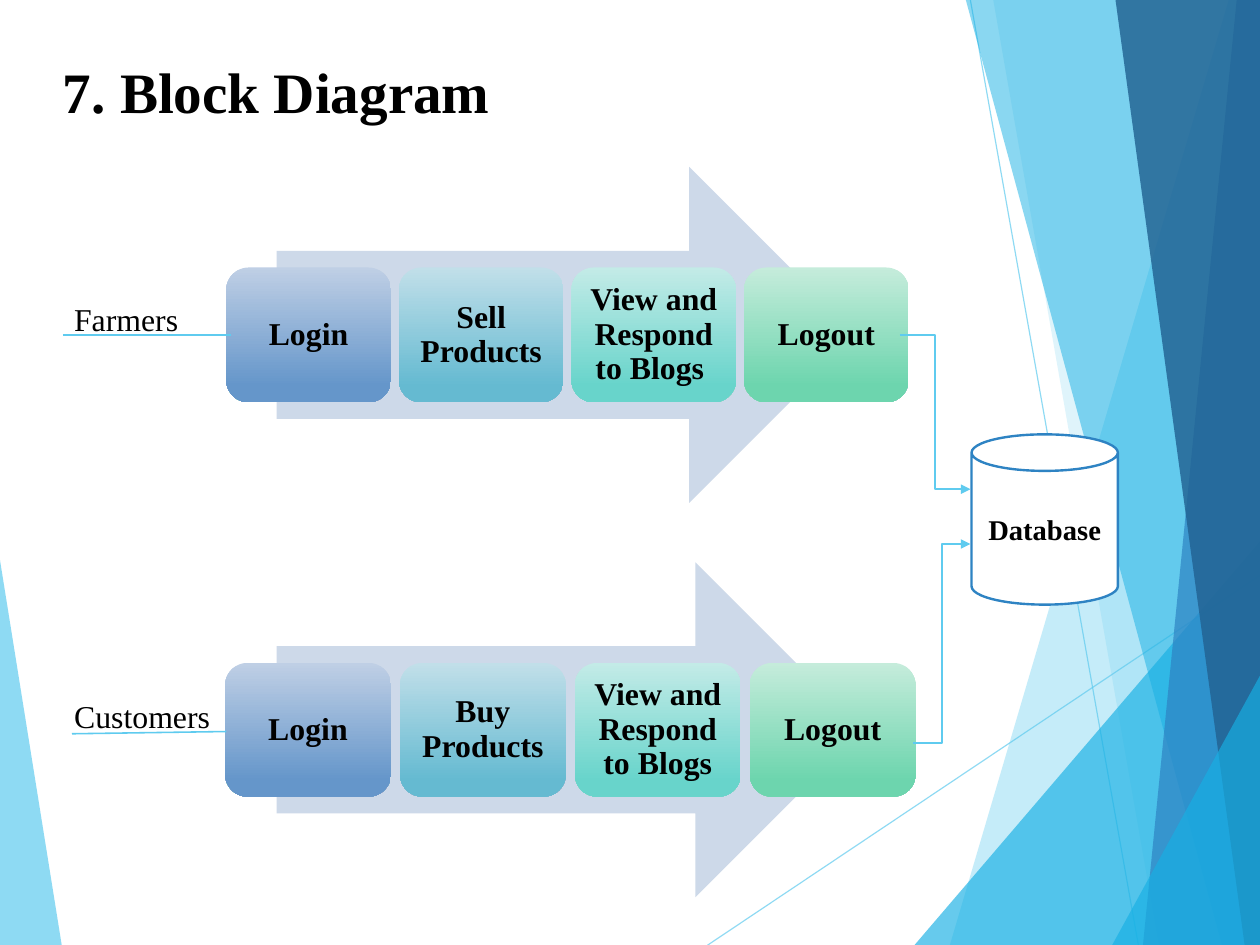
"""Build the block diagram slide: two user flows feeding one database."""
from lxml.etree import SubElement
from pptx import Presentation
from pptx.dml.color import RGBColor
from pptx.enum.shapes import MSO_CONNECTOR as Link, MSO_SHAPE as Shape
from pptx.enum.text import MSO_ANCHOR as Anchor, MSO_AUTO_SIZE as AutoSize, PP_ALIGN as Align
from pptx.oxml.ns import qn
from pptx.util import Inches, Pt

CM_PER_INCH = 2.54
SLIDE_SIZE = {"slide_width": Inches(28 / CM_PER_INCH), "slide_height": Inches(21 / CM_PER_INCH)}
RIGHT, BOTTOM = 11.03, 8.27
COLORS = {
    "sky": "5FCBEF", "cyan": "17B0E4", "blue": "2E83C3", "navy": "226292",
    "arrow": "CDD9E9", "white": "FFFFFF", "text": "000000",
}
STEP_GRADIENTS = [("BFCFE5", "6596CA"), ("C1DFE9", "65BAD1"),
                  ("C3EBE7", "68D4CB"), ("C5ECDB", "6DD5AE")]
RIGHT_EDGE = [(RIGHT, BOTTOM), (RIGHT, 0)]
LEFT_FACET = ("sky", 70, [(-0.01, 4.84), (0.54, BOTTOM), (-0.01, BOTTOM)])
RIGHT_FACETS = [
    ("sky", 36, [(10.75, 0), (8.31, BOTTOM), *RIGHT_EDGE]),
    ("sky", 20, [(8.69, 0), (10.14, BOTTOM), *RIGHT_EDGE]),
    ("cyan", 66, [(8, BOTTOM), (RIGHT, 4.73), (RIGHT, BOTTOM)]),
    ("cyan", 50, [(8.45, 0), (10.69, BOTTOM), *RIGHT_EDGE]),
    ("blue", 70, [(10.82, 0), (10, BOTTOM), *RIGHT_EDGE]),
    ("navy", 82, [(9.76, 0), (10.89, BOTTOM), *RIGHT_EDGE]),
    ("cyan", 66, [(9.73, BOTTOM), (RIGHT, 5.9), (RIGHT, BOTTOM)]),
]


def rgb(name):
    return RGBColor.from_string(COLORS[name])


def apply(target, values):
    for attribute, value in values.items():
        setattr(target, attribute, value)


def box(*lengths):
    return dict(zip(("left", "top", "width", "height"), map(Inches, lengths)))


def set_alpha(fill_owner, percent):
    color = next(fill_owner.iter(qn("a:srgbClr")))
    SubElement(color, qn("a:alpha"), val=str(percent * 1000))


def write(shape, wording, size, bold=True, align=Align.CENTER, spacing=1.0, **frame_format):
    frame = shape.text_frame
    apply(frame, {"word_wrap": True, **frame_format})
    paragraph = frame.paragraphs[0]
    apply(paragraph, {"alignment": align, "line_spacing": spacing})
    run = paragraph.add_run()
    run.text = wording
    apply(run.font, {"name": "Times New Roman", "size": Pt(size), "bold": bold})
    run.font.color.rgb = rgb("text")


def margins(side, top):
    return {"margin_left": Inches(side), "margin_right": Inches(side),
            "margin_top": Inches(top), "margin_bottom": Inches(top)}


def add_facet(slide, color, alpha, corners):
    points = [(Inches(x), Inches(y)) for x, y in corners]
    builder = slide.shapes.build_freeform(*points[0])
    builder.add_line_segments(points[1:], close=True)
    facet = builder.convert_to_shape()
    facet.shadow.inherit = False
    facet.fill.solid()
    facet.fill.fore_color.rgb = rgb(color)
    set_alpha(facet._element.spPr, alpha)
    facet.line.fill.background()


def add_block(slide, kind, place, color=None, outline=None):
    block = slide.shapes.add_shape(kind, **place)
    block.shadow.inherit = False
    if color:
        block.fill.solid()
        block.fill.fore_color.rgb = rgb(color)
    if outline:
        block.line.color.rgb = rgb(outline)
        block.line.width = Pt(1.5)
    else:
        block.line.fill.background()
    return block


def add_link(slide, start, end, kind=Link.STRAIGHT, width=1, alpha=None, arrow=False):
    link = slide.shapes.add_connector(kind, *map(Inches, (*start, *end)))
    link.line.color.rgb = rgb("sky")
    link.line.width = Pt(width)
    properties = link._element.spPr
    if alpha:
        set_alpha(properties, alpha)
    if arrow:
        SubElement(properties.find(qn("a:ln")), qn("a:tailEnd"), type="triangle")
    SubElement(properties, qn("a:effectLst"))


def add_backdrop(slide):
    add_facet(slide, *LEFT_FACET)
    add_link(slide, (6.19, BOTTOM), (RIGHT, 5.03), width=0.75, alpha=70)
    add_link(slide, (8.49, 0), (9.96, BOTTOM), width=0.75, alpha=70)
    for facet in RIGHT_FACETS:
        add_facet(slide, *facet)


def add_step(slide, wording, gradient, place):
    step = add_block(slide, Shape.ROUNDED_RECTANGLE, place)
    step.fill.gradient()
    step.fill.gradient_angle = 270
    for stop, color, position in zip(step.fill.gradient_stops, gradient, (0, 0.88)):
        stop.color.rgb = RGBColor.from_string(color)
        stop.position = position
    write(step, wording, 20, spacing=0.9, vertical_anchor=Anchor.MIDDLE, **margins(0.08, 0.08))


def add_flow(slide, top, arrow_size, first_left, step_size, gap, steps):
    arrow_width, arrow_height = arrow_size
    step_width, step_height = step_size
    add_block(slide, Shape.RIGHT_ARROW, box(2.42, top, arrow_width, arrow_height), "arrow")
    step_top = top + (arrow_height - step_height) / 2
    for index, (wording, gradient) in enumerate(zip(steps, STEP_GRADIENTS)):
        left = first_left + index * (step_width + gap)
        add_step(slide, wording, gradient, box(left, step_top, step_width, step_height))


def add_user(slide, name, top, width):
    label = slide.shapes.add_textbox(**box(0.55, top, width, 0.44))
    write(label, name, 20, bold=False, align=Align.LEFT)


def add_title(slide):
    title = slide.shapes.title
    apply(title, box(0.55, 0.12, 9.92, 1.38))
    write(title, "7. Block Diagram ", 36, align=Align.LEFT, spacing=0.93,
          vertical_anchor=Anchor.MIDDLE, auto_size=AutoSize.NONE,
          **{**margins(0, 0), "margin_top": Inches(0.03)})


def main():
    deck = Presentation()
    apply(deck, SLIDE_SIZE)
    slide = deck.slides.add_slide(deck.slide_layouts[5])
    add_backdrop(slide)
    add_title(slide)
    add_flow(slide, 1.46, (5.08, 2.94), 1.98, (1.44, 1.18), 0.07,
             ["Login", "Sell Products", "View and Respond to Blogs ", "Logout"])
    add_flow(slide, 4.92, (5.13, 2.93), 1.97, (1.45, 1.17), 0.08,
             ["Login", "Buy Products", "View and Respond to Blogs", "Logout"])
    database = add_block(slide, Shape.CAN, box(8.5, 3.8, 1.28, 1.49), "white", "blue")
    write(database, "Database", 18, vertical_anchor=Anchor.MIDDLE)
    add_user(slide, "Customers", 6.05, 1.51)
    add_user(slide, "Farmers", 2.57, 1.44)
    add_link(slide, (7.87, 2.93), (8.49, 4.28), Link.ELBOW, arrow=True)
    add_link(slide, (7.99, 6.5), (8.49, 4.76), Link.ELBOW, arrow=True)
    add_link(slide, (0.55, 2.93), (2.02, 2.93))
    add_link(slide, (0.63, 6.42), (1.98, 6.4))
    deck.save("out.pptx")


main()
